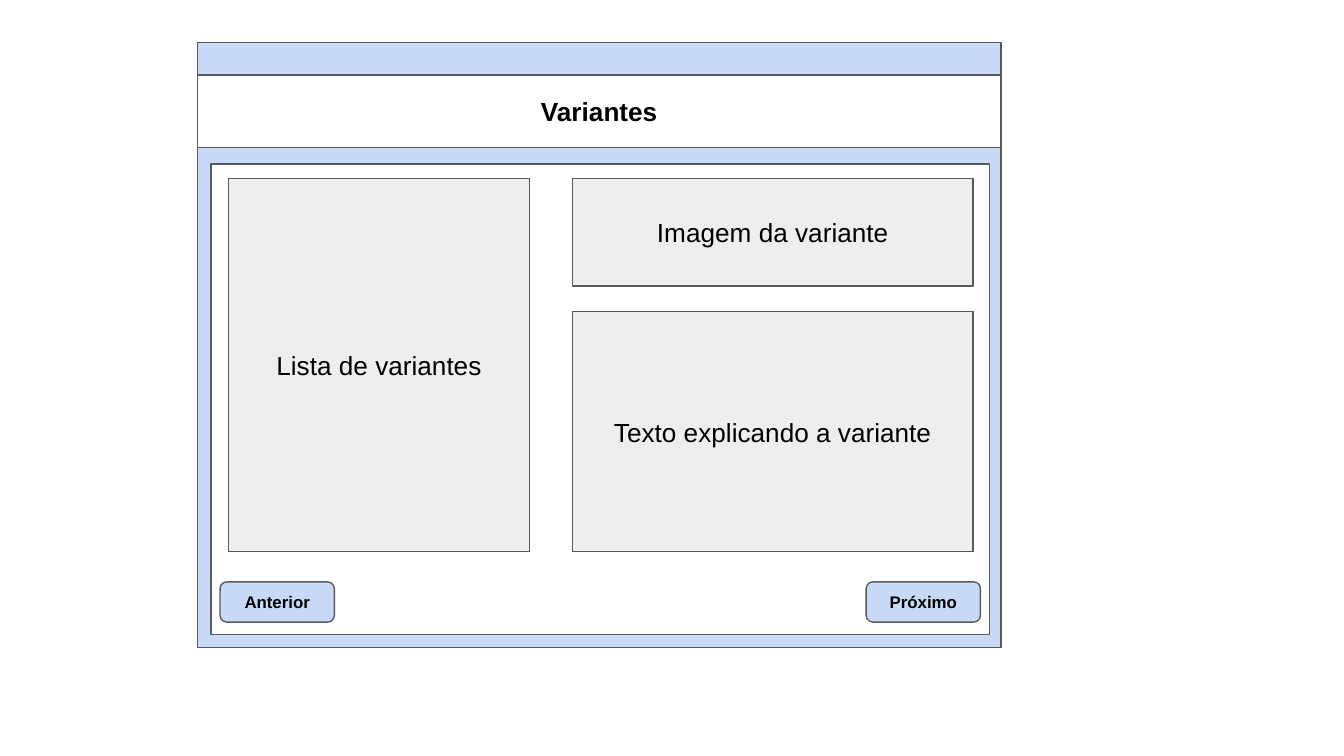
from dataclasses import dataclass

from pptx import Presentation
from pptx.dml.color import RGBColor
from pptx.enum.shapes import MSO_SHAPE
from pptx.enum.text import MSO_ANCHOR, PP_ALIGN
from pptx.util import Cm, Pt


@dataclass(frozen=True)
class Theme:
    font: str = "Arial"
    text: str = "000000"
    outline: str = "595959"
    frame: str = "C9DAF8"
    surface: str = "FFFFFF"
    placeholder: str = "EEEEEE"
    body_size: float = 14
    button_size: float = 9
    line_width: float = 0.75


THEME = Theme()

# Lengths in centimetres
SLIDE_SIZE = (25.4, 14.29)
WINDOW = (3.73, 0.81, 15.19, 11.43)
TITLE = ("Variantes", 1.42, 1.37)  # text, top, height
PANEL = (3.99, 3.1, 14.71, 8.89)
BUTTONS = ("Anterior", "Próximo")
BUTTON_SIZE = (2.16, 0.76)
BUTTON_INSET = 0.17
BUTTON_TOP = 11
CONTENT_TOP, CONTENT_BOTTOM = 3.38, 10.43
ROW_GAP = 0.48
COLUMNS = [  # left, width, (text, height); None fills what is left
    (4.32, 5.69, [("Lista de variantes", None)]),
    (10.82, 7.57, [("Imagem da variante", 2.03),
                   ("Texto explicando a variante", None)]),
]


def add_box(page, bounds, fill, text="", size=THEME.body_size, bold=False,
            kind=MSO_SHAPE.RECTANGLE):
    box = page.shapes.add_shape(kind, *(Cm(length) for length in bounds))
    box.shadow.inherit = False
    box.fill.solid()
    box.fill.fore_color.rgb = RGBColor.from_string(fill)
    box.line.color.rgb = RGBColor.from_string(THEME.outline)
    box.line.width = Pt(THEME.line_width)
    if text:
        write_label(box.text_frame, text, size, bold)
    return box


def write_label(frame, text, size, bold):
    frame.word_wrap = True
    frame.vertical_anchor = MSO_ANCHOR.MIDDLE
    frame.margin_left = frame.margin_right = Cm(0.25)
    frame.margin_top = frame.margin_bottom = Cm(0.25)
    para = frame.paragraphs[0]
    para.alignment = PP_ALIGN.CENTER
    span = para.add_run()
    span.text = text
    span.font.name = THEME.font
    span.font.size = Pt(size)
    span.font.bold = bold
    span.font.color.rgb = RGBColor.from_string(THEME.text)


def add_window(page):
    left, _, width, _ = WINDOW
    title, top, height = TITLE
    add_box(page, WINDOW, THEME.frame)
    add_box(page, (left, top, width, height), THEME.surface, title, bold=True)
    add_box(page, PANEL, THEME.surface)


def add_buttons(page):
    """Place the buttons against the left and right edges of the panel."""
    panel_left, _, panel_width, _ = PANEL
    width, height = BUTTON_SIZE
    lefts = (panel_left + BUTTON_INSET,
             panel_left + panel_width - BUTTON_INSET - width)
    for text, left in zip(BUTTONS, lefts):
        add_box(page, (left, BUTTON_TOP, width, height), THEME.frame, text,
                THEME.button_size, True, MSO_SHAPE.ROUNDED_RECTANGLE)


def add_content(page):
    for left, width, blocks in COLUMNS:
        top = CONTENT_TOP
        for text, fixed_height in blocks:
            height = fixed_height or CONTENT_BOTTOM - top
            add_box(page, (left, top, width, height), THEME.placeholder, text)
            top += height + ROW_GAP


def main():
    deck = Presentation()
    deck.slide_width, deck.slide_height = (Cm(length) for length in SLIDE_SIZE)
    page = deck.slides.add_slide(deck.slide_layouts[6])
    add_window(page)
    add_buttons(page)
    add_content(page)
    deck.save("out.pptx")


if __name__ == "__main__":
    main()
